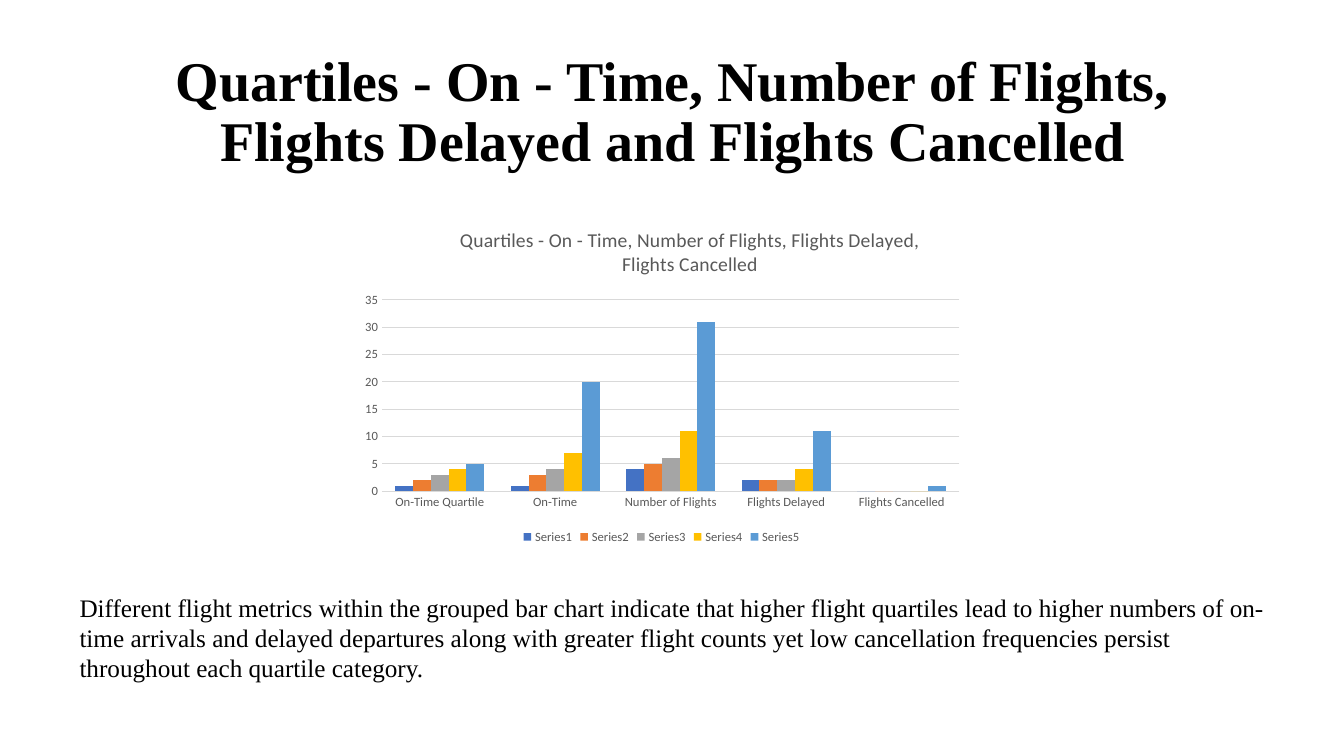
from lxml import etree
from pptx import Presentation
from pptx.chart.data import CategoryChartData
from pptx.dml.color import RGBColor
from pptx.enum.chart import XL_CHART_TYPE, XL_LEGEND_POSITION, XL_TICK_MARK
from pptx.enum.text import MSO_ANCHOR, PP_ALIGN
from pptx.oxml import parse_xml
from pptx.oxml.ns import nsdecls, qn
from pptx.util import Inches, Pt

COLUMNS = XL_CHART_TYPE.COLUMN_CLUSTERED
LEGEND_BOTTOM = XL_LEGEND_POSITION.BOTTOM
NO_TICKS = XL_TICK_MARK.NONE
MIDDLE = MSO_ANCHOR.MIDDLE
CENTER = PP_ALIGN.CENTER

BLACK = RGBColor(0x00, 0x00, 0x00)
GRAY = RGBColor(0x59, 0x59, 0x59)
GRID_GRAY = RGBColor(0xD9, 0xD9, 0xD9)
BLUE = RGBColor(0x44, 0x72, 0xC4)
ORANGE = RGBColor(0xED, 0x7D, 0x31)
SILVER = RGBColor(0xA5, 0xA5, 0xA5)
GOLD = RGBColor(0xFF, 0xC0, 0x00)
SKY = RGBColor(0x5B, 0x9B, 0xD5)

CATEGORIES = ["On-Time Quartile", "On-Time", "Number of Flights",
              "Flights Delayed", "Flights Cancelled"]
QUARTILES = [
    (BLUE, (1, 1, 4, 2, 0)),
    (ORANGE, (2, 3, 5, 2, 0)),
    (SILVER, (3, 4, 6, 2, 0)),
    (GOLD, (4, 7, 11, 4, 0)),
    (SKY, (5, 20, 31, 11, 1)),
]


def set_layout(element, position, inner=False, **fractions):
    """Place a chart part by fractions of the chart area."""
    for old_layout in element.findall(qn("c:layout")):
        element.remove(old_layout)
    layout = parse_xml(f"<c:layout {nsdecls('c')}><c:manualLayout/></c:layout>")
    settings = {"layoutTarget": "inner"} if inner else {}
    settings.update(xMode="edge", yMode="edge", **fractions)
    for name, value in settings.items():
        etree.SubElement(layout[0], qn(f"c:{name}")).set("val", str(value))
    element.insert(position, layout)


class SlideBuilder:
    text_font = "Times New Roman"
    chart_font = "Calibri"

    def __init__(self, slide):
        self.slide = slide

    def style_font(self, font, name, size, color, bold=False):
        font.name = name
        font.size = Pt(size)
        font.bold = bold
        font.color.rgb = color

    def fill_text(self, shape, text, size, bold=False):
        frame = shape.text_frame
        frame.word_wrap = True
        frame.vertical_anchor = MIDDLE
        frame.text = text
        paragraph = frame.paragraphs[0]
        self.style_font(paragraph.font, self.text_font, size, BLACK, bold)
        return paragraph

    def title(self, text, left, top, width, height):
        shape = self.slide.shapes.title
        shape.left, shape.top = Inches(left), Inches(top)
        shape.width, shape.height = Inches(width), Inches(height)
        paragraph = self.fill_text(shape, text, 40, bold=True)
        paragraph.alignment = CENTER
        paragraph.line_spacing = 0.9

    def text(self, text, left, top, width, height):
        box = self.slide.shapes.add_textbox(
            Inches(left), Inches(top), Inches(width), Inches(height))
        self.fill_text(box, text, 18)

    def column_chart(self, title, left, top, width, height):
        data = CategoryChartData()
        data.categories = CATEGORIES
        for number, (_, values) in enumerate(QUARTILES, 1):
            data.add_series(f"Series{number}", values)
        chart = self.slide.shapes.add_chart(
            COLUMNS, Inches(left), Inches(top), Inches(width), Inches(height), data).chart
        self.style_font(chart.font, self.chart_font, 10, BLACK)

        chart.has_title = True
        frame = chart.chart_title.text_frame
        frame.text = title
        self.style_font(frame.paragraphs[0].font, self.chart_font, 14, GRAY)
        chart.chart_title.include_in_layout = False
        set_layout(chart.chart_title._element, 1, x=0.17, y=0.03)

        plot = chart.plots[0]
        plot.gap_width = 150
        plot.overlap = 0
        plot.vary_by_categories = False
        for series, (color, _) in zip(plot.series, QUARTILES):
            series.format.fill.solid()
            series.format.fill.fore_color.rgb = color
        set_layout(plot._element.getparent(), 0, inner=True,
                   x=0.05, y=0.26, w=0.93, h=0.57)

        self.axis(chart.category_axis)
        chart.category_axis.format.line.color.rgb = GRID_GRAY
        value_axis = chart.value_axis
        self.axis(value_axis)
        value_axis.format.line.fill.background()
        value_axis.minimum_scale, value_axis.maximum_scale = 0, 35
        value_axis.major_unit = 5
        value_axis.has_major_gridlines = True
        grid = value_axis.major_gridlines.format.line
        grid.color.rgb = GRID_GRAY
        grid.width = Pt(0.75)

        chart.has_legend = True
        chart.legend.position = LEGEND_BOTTOM
        chart.legend.include_in_layout = False
        self.style_font(chart.legend.font, self.chart_font, 9, GRAY)

    def axis(self, axis):
        axis.major_tick_mark = axis.minor_tick_mark = NO_TICKS
        self.style_font(axis.tick_labels.font, self.chart_font, 9, GRAY)


def main():
    presentation = Presentation()
    presentation.slide_width = Inches(13.33)
    presentation.slide_height = Inches(7.5)
    title_only = presentation.slide_layouts[5]
    builder = SlideBuilder(presentation.slides.add_slide(title_only))
    builder.title("Quartiles - On - Time, Number of Flights, Flights Delayed "
                  "and Flights Cancelled", 0.92, 0.4, 11.5, 1.45)
    builder.text("Different flight metrics within the grouped bar chart indicate that "
                 "higher flight quartiles lead to higher numbers of on-time arrivals and "
                 "delayed departures along with greater flight counts yet low cancellation "
                 "frequencies persist throughout each quartile category.",
                 0.69, 5.82, 12.09, 1.01)
    builder.column_chart("Quartiles - On - Time, Number of Flights, Flights Delayed, "
                         "Flights Cancelled", 3.48, 2.11, 6.16, 3.33)
    presentation.save("out.pptx")


if __name__ == "__main__":
    main()
